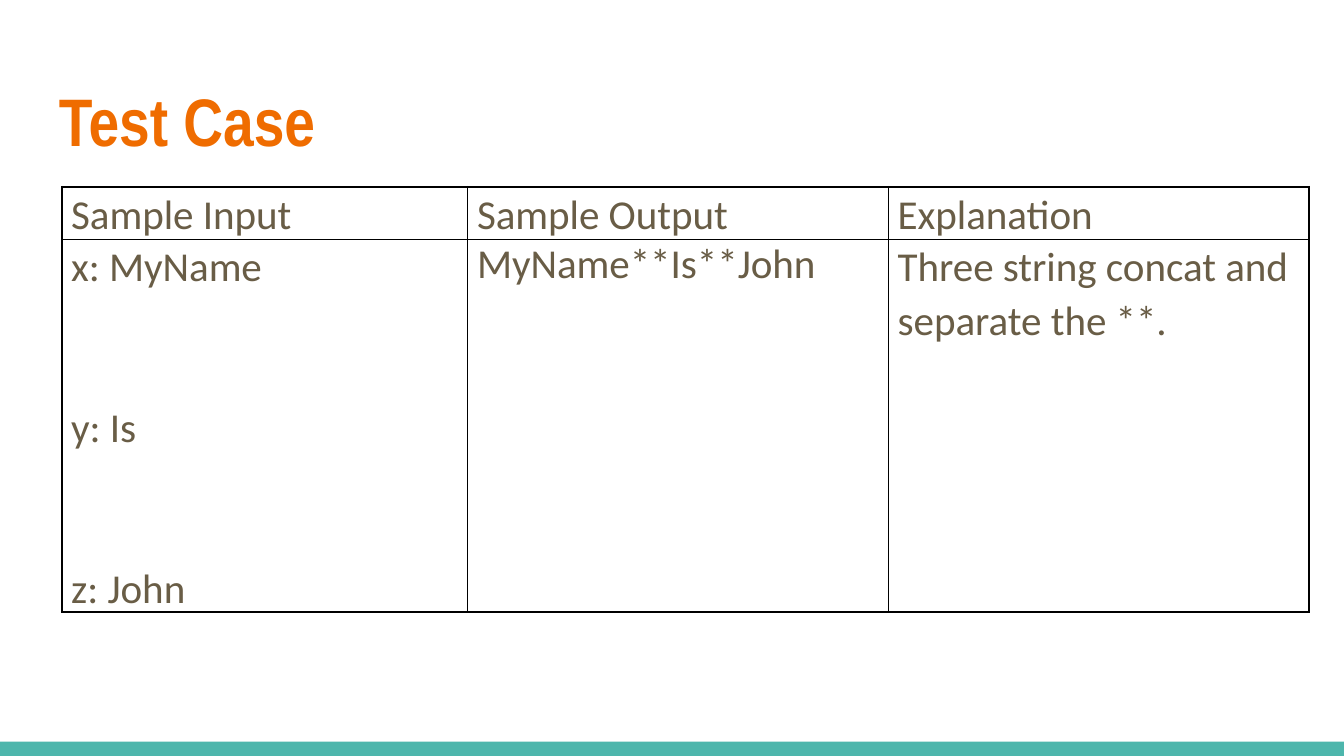
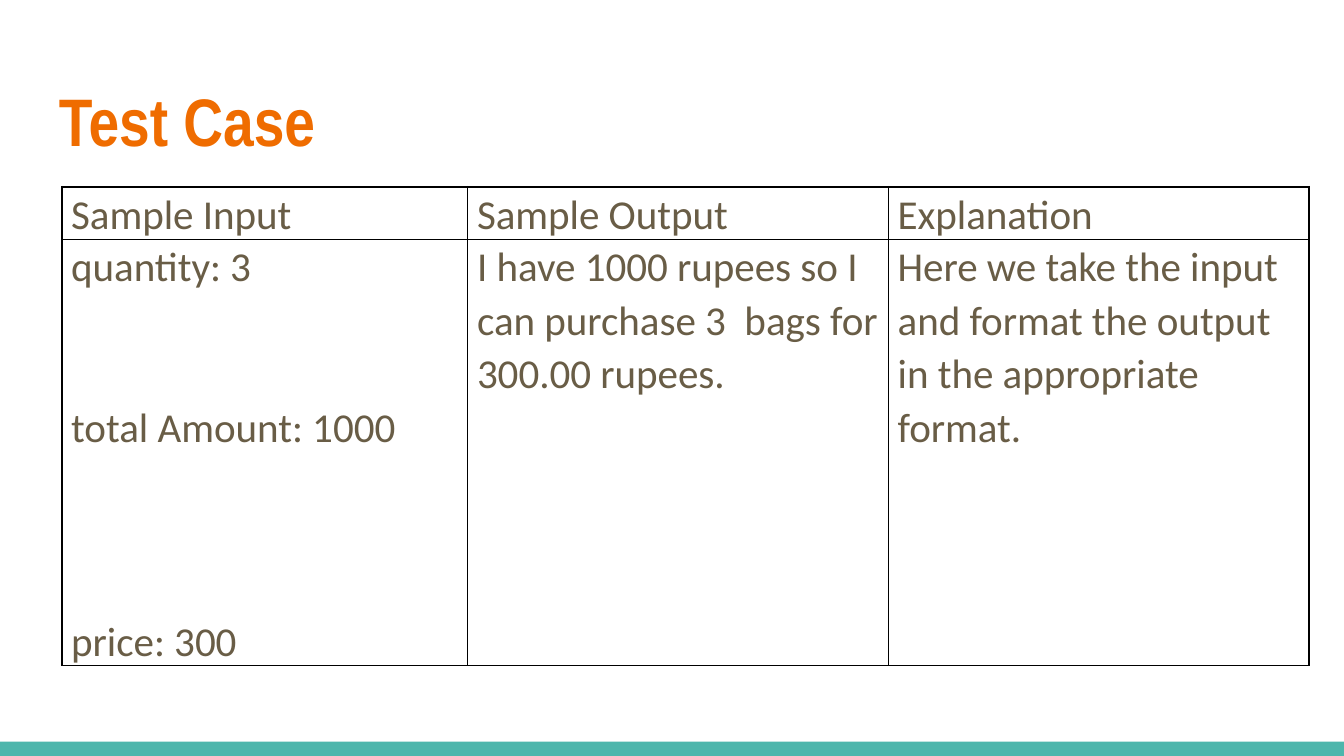
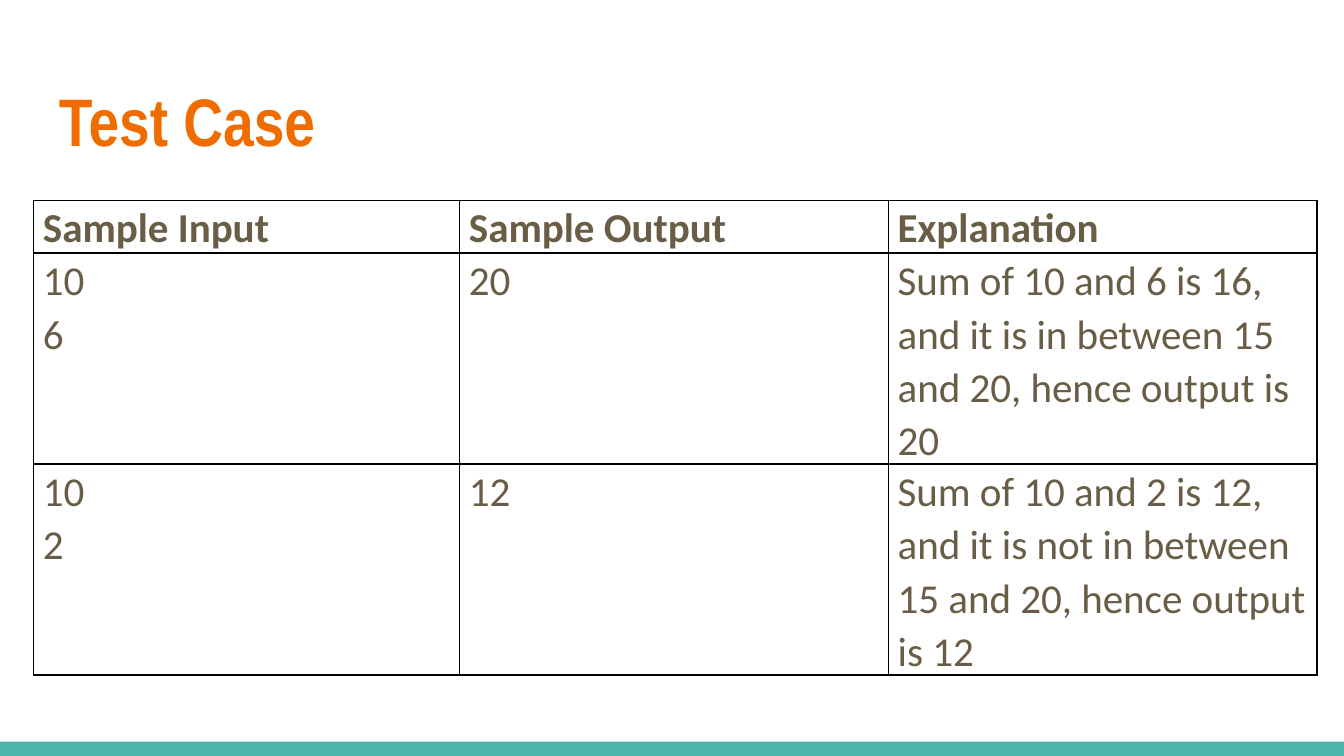
from dataclasses import dataclass

from lxml.etree import SubElement
from pptx import Presentation
from pptx.dml.color import RGBColor
from pptx.enum.shapes import MSO_SHAPE
from pptx.enum.text import MSO_ANCHOR
from pptx.oxml.ns import qn
from pptx.slide import Slide
from pptx.table import _Cell
from pptx.text.text import _Paragraph
from pptx.util import Inches, Pt

WHITE = RGBColor(0xFF, 0xFF, 0xFF)
BLACK = RGBColor(0x00, 0x00, 0x00)
TEAL = RGBColor(0x4D, 0xB6, 0xAC)
ORANGE = RGBColor(0xEF, 0x6C, 0x00)
BROWN = RGBColor(0x69, 0x5D, 0x46)

WIDTH, HEIGHT = Inches(10), Inches(5.625)
TITLE_FONT = {"name": "Arial Narrow", "size": Pt(36), "bold": True}
CELL_FONT = {"name": "Calibri", "size": Pt(22)}
CELL_MARGINS = {"margin_left": Inches(0.07), "margin_right": Inches(0.07),
                "margin_top": 0, "margin_bottom": 0}
TITLE_MARGINS = dict.fromkeys(CELL_MARGINS, Inches(0.1))
LINE_PITCH = 28.7  # points per text line in a cell
HEADINGS = ("Sample Input", "Sample Output", "Explanation")


def col(n: float) -> int:
    """Length of n hundredths of the slide width."""
    return round(WIDTH * n / 100)


def row(n: float) -> int:
    """Length of n hundredths of the slide height."""
    return round(HEIGHT * n / 100)


@dataclass(frozen=True)
class Line:
    text: str
    lines_above: int = 0
    spacing: float = 1.07


@dataclass(frozen=True)
class TestTable:
    left: float
    top: float
    cols: tuple[float, ...]
    header_height: float
    case_height: float
    cases: tuple[tuple[tuple[Line, ...], ...], ...]
    bold_header: bool = False


CONCAT = TestTable(4.6, 24.7, (30.2, 31.3, 31.3), 5.33, 22.75, (
    ((Line("x: MyName"), Line("y: Is", 2), Line("z: John", 2)),
     (Line("MyName**Is**John", spacing=1.0),),
     (Line("Three string concat and separate the **."),)),
))
PURCHASE = TestTable(4.6, 24.7, (30.2, 31.3, 31.3), 5.33, 22.75, (
    ((Line("quantity: 3"), Line("total Amount: 1000", 2), Line("price: 300", 3)),
     (Line("I have 1000 rupees so I can purchase 3  bags for 300.00 rupees."),),
     (Line("Here we take the input and format the output in the appropriate format."),)),
))
SUMS = TestTable(2.5, 26.5, (31.7, 31.9, 31.9), 5.7, 23.65, (
    ((Line("10"), Line("6")),
     (Line("20"),),
     (Line("Sum of 10 and 6 is 16, and it is in between 15 and 20, hence output is 20"),)),
    ((Line("10"), Line("2")),
     (Line("12"),),
     (Line("Sum of 10 and 2 is 12, and it is not in between 15 and 20, hence output is 12"),)),
), bold_header=True)


def set_all(target: object, values: dict) -> None:
    for name, value in values.items():
        setattr(target, name, value)


def write(p: _Paragraph, text: str, font: dict, color: RGBColor) -> None:
    r = p.add_run()
    r.text = text
    set_all(r.font, font)
    r.font.color.rgb = color


def add_frame(s: Slide) -> None:
    """Draw the background, the bottom band and the title."""
    s.background.fill.solid()
    s.background.fill.fore_color.rgb = WHITE
    band = s.shapes.add_shape(MSO_SHAPE.RECTANGLE, 0, row(98.1), WIDTH, row(1.9))
    band.shadow.inherit = False
    band.fill.solid()
    band.fill.fore_color.rgb = TEAL
    band.line.fill.background()
    title = s.shapes.add_textbox(col(3.4), row(8.7), col(93.2), row(13.7))
    tf = title.text_frame
    set_all(tf, {"word_wrap": True, "vertical_anchor": MSO_ANCHOR.TOP, **TITLE_MARGINS})
    write(tf.paragraphs[0], "Test Case", TITLE_FONT, ORANGE)


def add_borders(cell: _Cell) -> None:
    tc_pr = cell._tc.get_or_add_tcPr()
    for side in ("lnL", "lnR", "lnT", "lnB"):
        ln = SubElement(tc_pr, qn(f"a:{side}"), w=str(Pt(1)))
        fill = SubElement(ln, qn("a:solidFill"))
        SubElement(fill, qn("a:srgbClr"), val=str(BLACK))


def fill_cell(cell: _Cell, lines: tuple[Line, ...], bold: bool) -> None:
    set_all(cell, CELL_MARGINS)
    add_borders(cell)
    cell.fill.background()
    tf = cell.text_frame
    for i, line in enumerate(lines):
        p = tf.add_paragraph() if i else tf.paragraphs[0]
        p.line_spacing = line.spacing
        p.space_before = Pt(line.lines_above * LINE_PITCH)
        write(p, line.text, {**CELL_FONT, "bold": bold}, BROWN)


def add_test_table(s: Slide, spec: TestTable) -> None:
    header = tuple((Line(heading),) for heading in HEADINGS)
    rows = (header, *spec.cases)
    heights = (spec.header_height, *[spec.case_height] * len(spec.cases))
    table = s.shapes.add_table(len(rows), len(spec.cols), col(spec.left), row(spec.top),
                               col(sum(spec.cols)), row(sum(heights))).table
    set_all(table, {"first_row": False, "horz_banding": False})
    for column, width in zip(table.columns, spec.cols):
        column.width = col(width)
    for i, (cells, height) in enumerate(zip(rows, heights)):
        table.rows[i].height = row(height)
        for j, lines in enumerate(cells):
            fill_cell(table.cell(i, j), lines, spec.bold_header and i == 0)


def main() -> None:
    prs = Presentation()
    prs.slide_width, prs.slide_height = WIDTH, HEIGHT
    for test_table in (CONCAT, PURCHASE, SUMS):
        s = prs.slides.add_slide(prs.slide_layouts[6])
        add_frame(s)
        add_test_table(s, test_table)
    prs.save("out.pptx")


if __name__ == "__main__":
    main()
